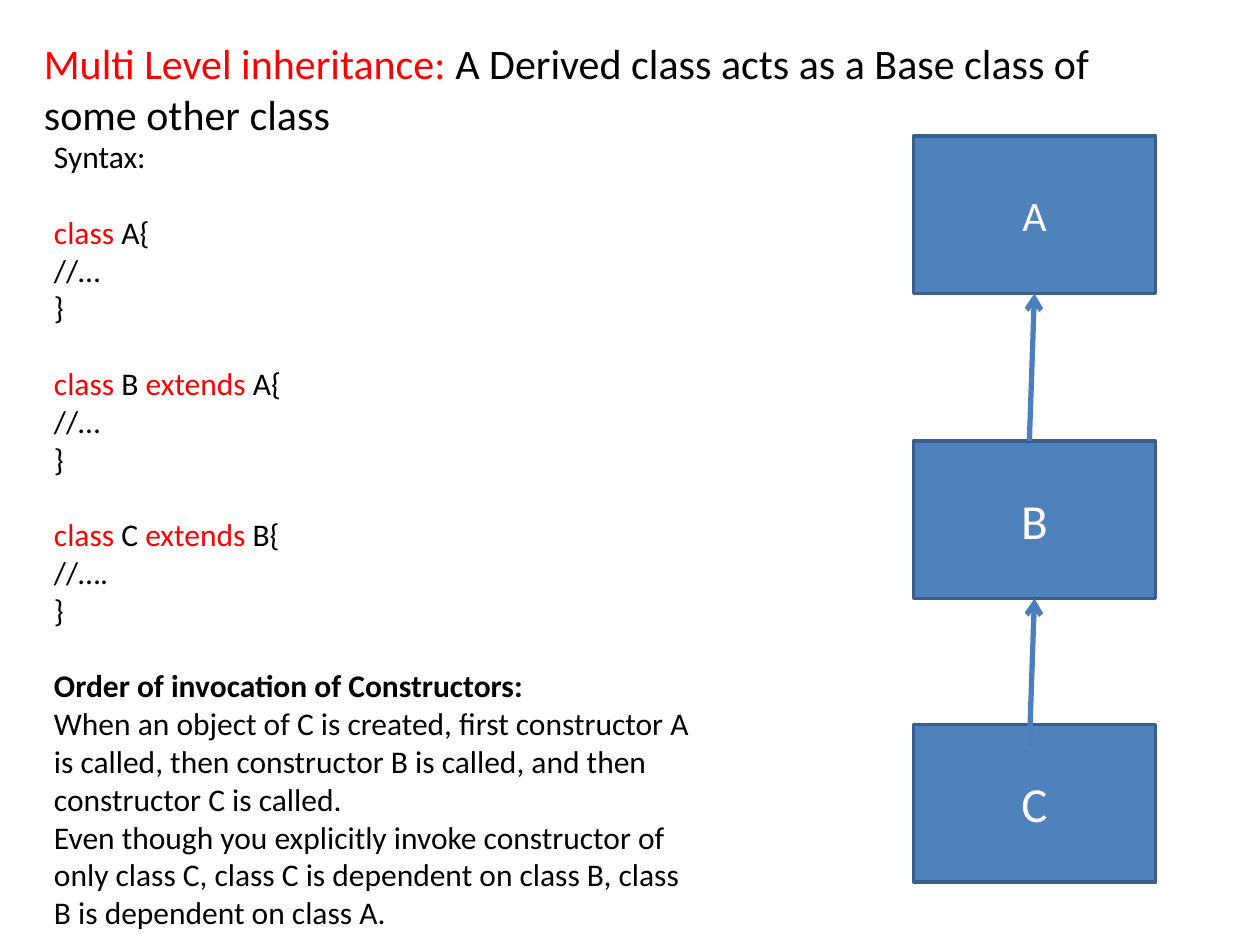
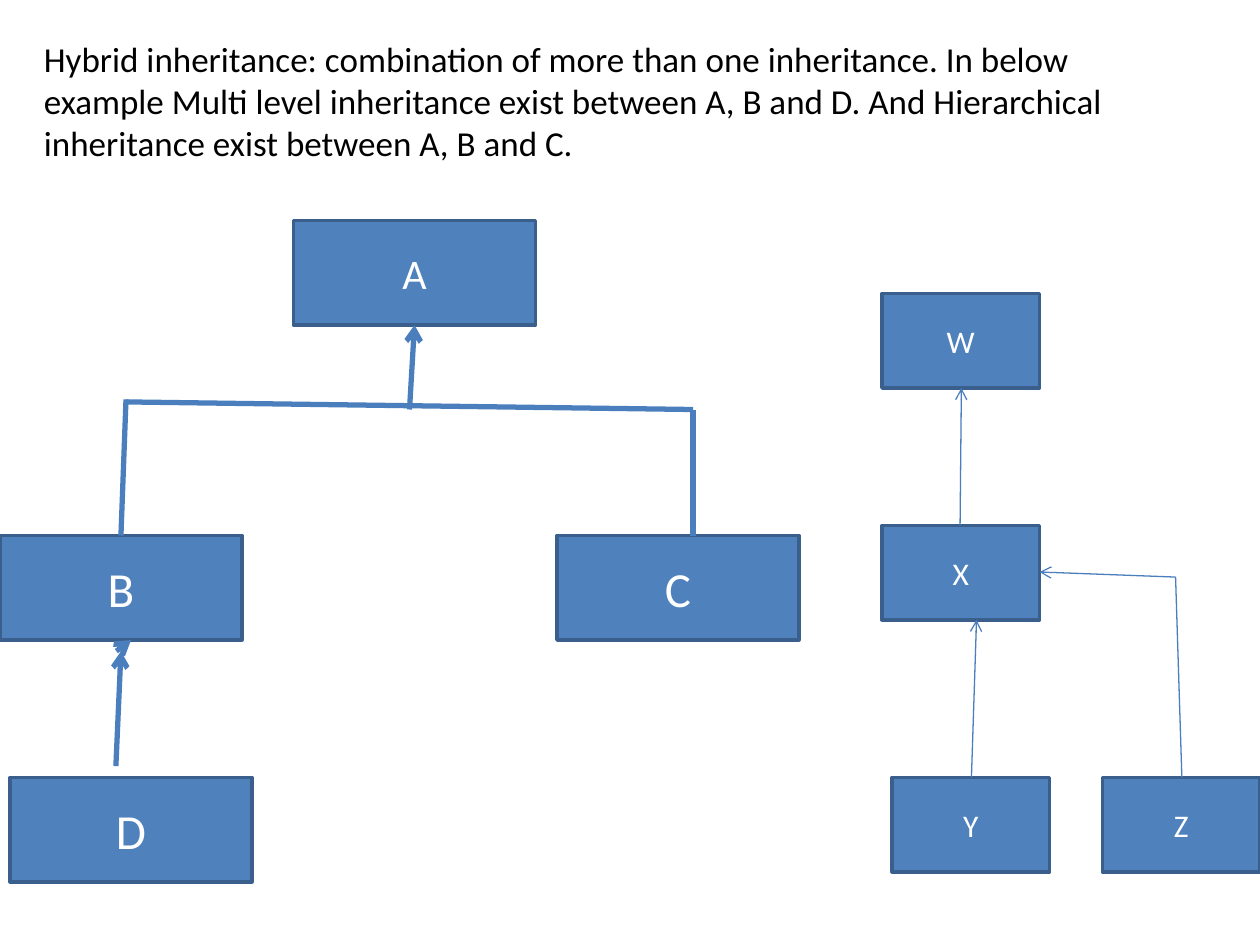
"""Build two slides on multilevel and hybrid inheritance."""
import pptx
import pptx.dml.color
import pptx.enum.shapes
import pptx.enum.text
import pptx.oxml
import pptx.oxml.ns
import pptx.util

Inches, Pt = pptx.util.Inches, pptx.util.Pt
FONT = "Calibri"
COLORS = {"box": "4F81BD", "border": "3A5F8C", "arrow": "4B7EBC",
          "text": "000000", "keyword": "FF0000", "label": "FFFFFF"}
TITLE_LEFT, TITLE_TOP, TITLE_WIDTH = 0.25, 0.25, 8.67
BLOCK_GAP = 21.6

KEY, BOLD = {"color": "keyword"}, {"bold": True}


def class_code(name, base, body):
    header = [("class", KEY), (f" {name}", {})]
    if base:
        header += [(" ", {}), ("extends", KEY), (f" {base}", {})]
    return [header + [("{", {})], [(body, {})], [("}", {})]]


MULTILEVEL = {
    "title": [[("Multi Level inheritance: ", KEY),
               ("A Derived class acts as a Base class of some other class", {})]],
    "title_size": 24, "title_height": 0.91,
    "blocks": [
        [[("Syntax:", {})]],
        class_code("A", None, "//…"),
        class_code("B", "A", "//…"),
        class_code("C", "B", "//…."),
        [[("Order of invocation of Constructors:", BOLD)],
         [("When an object of C is created, first constructor A is called, then "
           "constructor B is called, and then constructor C is called.", {})],
         [("Even though you explicitly invoke constructor of only class C, class C is "
           "dependent on class B, class B is dependent on class A.", {})]],
    ],
    "groups": [{
        "box_size": (1.92, 1.25), "weight": 3,
        "boxes": [("A", 7.25, 1.08, 24), ("B", 7.25, 3.5, 28), ("C", 7.25, 5.75, 28)],
        "arrows": [(8.17, 3.5, 8.21, 2.33), (8.17, 5.92, 8.21, 4.75)],
        "lines": [],
    }],
}

HYBRID = {
    "title": [[("Hybrid inheritance: combination of more than one inheritance. In below "
                "example Multi level inheritance exist between A, B and D. And "
                "Hierarchical inheritance exist between A, B and C.", {})]],
    "title_size": 20, "title_height": 1.11,
    "blocks": [],
    "groups": [{
        "box_size": (1.92, 0.83), "weight": 3,
        "boxes": [("A", 2.33, 1.75, 24), ("B", 0, 4.25, 28),
                  ("C", 4.42, 4.25, 28), ("D", 0.08, 6.17, 28)],
        "arrows": [(3.25, 3.25, 3.29, 2.58), (1, 5.11, 1.04, 5.08),
                   (0.92, 6.08, 0.96, 5.17)],
        "lines": [(1, 3.19, 5.5, 3.25), (1, 3.17, 0.96, 4.25), (5.5, 3.25, 5.5, 4.25)],
    }, {
        "box_size": (1.25, 0.75), "weight": 0.75,
        "boxes": [("W", 7, 2.33, 18), ("X", 7, 4.17, 18),
                  ("Y", 7.08, 6.17, 18), ("Z", 8.75, 6.17, 18)],
        "arrows": [(7.62, 4.17, 7.63, 3.08), (7.71, 6.17, 7.75, 4.92),
                   (9.33, 4.58, 8.25, 4.54)],
        "lines": [(9.33, 4.58, 9.38, 6.17)],
    }],
}


def rgb(name):
    return pptx.dml.color.RGBColor.from_string(COLORS[name])


def write(tf, blocks, size, color="text", align=None):
    """Fill a text frame with blocks of paragraphs, each a list of (text, style) runs."""
    tf.word_wrap = True
    paragraphs = [(i > 0 and j == 0, runs)
                  for i, block in enumerate(blocks) for j, runs in enumerate(block)]
    for n, (starts_block, runs) in enumerate(paragraphs):
        p = tf.add_paragraph() if n else tf.paragraphs[0]
        p.alignment = align
        if starts_block:
            p.space_before = Pt(BLOCK_GAP)
        for text, style in runs:
            r = p.add_run()
            r.text = text
            r.font.name, r.font.size = FONT, Pt(size)
            r.font.bold = style.get("bold", False)
            r.font.color.rgb = rgb(style.get("color", color))


def add_text(s, at, blocks, size):
    tf = s.shapes.add_textbox(*map(Inches, at)).text_frame
    write(tf, blocks, size)
    tf.auto_size = pptx.enum.text.MSO_AUTO_SIZE.SHAPE_TO_FIT_TEXT


def add_box(s, label, left, top, box_size, size):
    sp = s.shapes.add_shape(pptx.enum.shapes.MSO_SHAPE.RECTANGLE,
                            *map(Inches, (left, top, *box_size)))
    sp.shadow.inherit = False
    sp.fill.solid()
    sp.fill.fore_color.rgb = rgb("box")
    sp.line.color.rgb = rgb("border")
    sp.line.width = Pt(2)
    sp.text_frame.vertical_anchor = pptx.enum.text.MSO_ANCHOR.MIDDLE
    write(sp.text_frame, [[[(label, {})]]], size, color="label",
          align=pptx.enum.text.PP_ALIGN.CENTER)


def add_line(s, ends, weight, arrow=False):
    line = s.shapes.add_connector(pptx.enum.shapes.MSO_CONNECTOR.STRAIGHT,
                                  *map(Inches, ends))
    line.line.color.rgb = rgb("arrow")
    line.line.width = Pt(weight)
    if arrow:
        head = pptx.oxml.parse_xml(f'<a:tailEnd {pptx.oxml.ns.nsdecls("a")} type="arrow"/>')
        line.line._get_or_add_ln().append(head)
    line._element.spPr.append(
        pptx.oxml.parse_xml(f'<a:effectLst {pptx.oxml.ns.nsdecls("a")}/>'))


def build_slide(prs, content):
    s = prs.slides.add_slide(prs.slide_layouts[6])
    for group in content["groups"]:
        for label, left, top, size in group["boxes"]:
            add_box(s, label, left, top, group["box_size"], size)
        for ends in group["lines"]:
            add_line(s, ends, group["weight"])
        for ends in group["arrows"]:
            add_line(s, ends, group["weight"], arrow=True)
    add_text(s, (TITLE_LEFT, TITLE_TOP, TITLE_WIDTH, content["title_height"]),
             [content["title"]], content["title_size"])
    if content["blocks"]:
        add_text(s, (0.33, 1.04, 5.25, 6.46), content["blocks"], 18)


def main():
    prs = pptx.Presentation()
    prs.slide_width, prs.slide_height = Inches(10), Inches(7.5)
    for content in (MULTILEVEL, HYBRID):
        build_slide(prs, content)
    prs.save("out.pptx")


if __name__ == "__main__":
    main()
